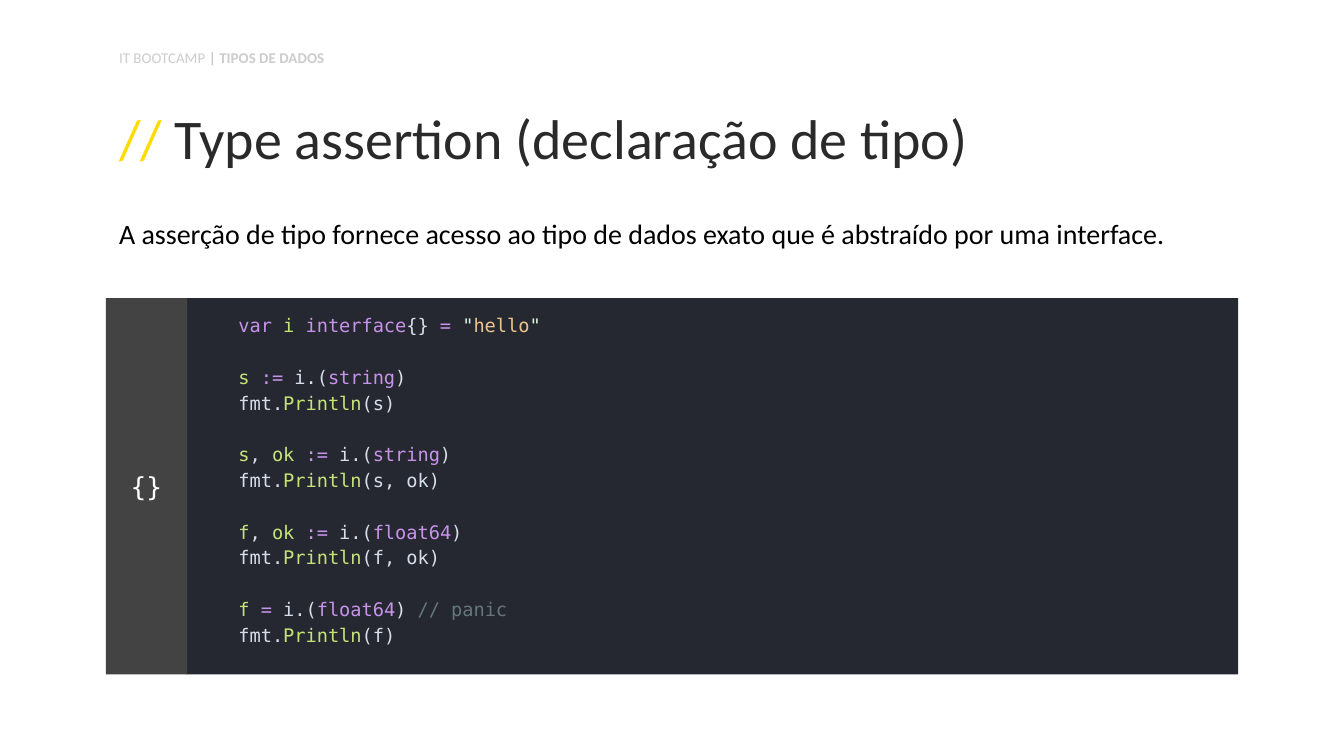
from dataclasses import dataclass
from typing import Any, NamedTuple

from pptx import Presentation
from pptx.dml.color import RGBColor
from pptx.enum.shapes import MSO_SHAPE
from pptx.enum.text import MSO_ANCHOR, PP_ALIGN
from pptx.util import Emu, Pt

RECTANGLE = MSO_SHAPE.RECTANGLE
TOP, MIDDLE, BOTTOM = MSO_ANCHOR.TOP, MSO_ANCHOR.MIDDLE, MSO_ANCHOR.BOTTOM
LEFT, CENTER = PP_ALIGN.LEFT, PP_ALIGN.CENTER

EMU_PER_PX = 5715  # 160 px to the inch


@dataclass(frozen=True)
class Theme:
    sans: str = "Calibri"
    mono: str = "DejaVu Sans Mono"
    header_size: float = 8
    title_size: float = 30
    body_size: float = 15
    code_size: float = 10
    braces_size: float = 14
    code_gap: float = 13.9
    header: str = "CCCCCC"
    accent: str = "FFDB00"
    title: str = "2A2A2A"
    body: str = "000000"
    braces: str = "FFFFFF"
    code_panel: str = "262831"
    braces_panel: str = "434343"
    keyword: str = "C792EA"
    name: str = "C5E478"
    plain: str = "D6DEEB"
    quote: str = "D9F5DD"
    string: str = "ECC48D"
    comment: str = "637777"


THEME = Theme()


class Box(NamedTuple):
    left: int
    top: int
    width: int
    height: int


class Run(NamedTuple):
    text: str
    color: str
    bold: bool = False


@dataclass(frozen=True)
class Line:
    runs: tuple[Run, ...]
    space_before: float = 0
    space_after: float = 0


@dataclass(frozen=True)
class Block:
    box: Box
    lines: tuple[Line, ...]
    font: str
    size: float
    insets: tuple[int, int, int, int] = (16, 16, 16, 16)
    anchor: Any = TOP
    align: Any = LEFT
    spacing: float = 1.15
    fill: str | None = None


def px(length: int) -> Emu:
    return Emu(length * EMU_PER_PX)


def set_all(target: Any, values: dict[str, Any]) -> None:
    for attribute, value in values.items():
        setattr(target, attribute, value)


def keyword(text: str) -> Run:
    return Run(text, THEME.keyword)


def name(text: str) -> Run:
    return Run(text, THEME.name)


def plain(text: str) -> Run:
    return Run(text, THEME.plain)


def assertion(targets: tuple[Run, ...], operator: str, kind: str,
              *ending: Run) -> Line:
    """Code line that opens a new group: targets operator i.(kind)."""
    runs = (plain("   "), *targets, keyword(operator), plain(" i.("),
            keyword(kind), *ending)
    return Line(runs, space_before=THEME.code_gap)


def println(arguments: str) -> Line:
    return Line((plain("   fmt."), name("Println"), plain(f"({arguments})")))


def with_ok(variable: str) -> tuple[Run, ...]:
    return name(variable), plain(", "), name("ok ")


def draw_block(shapes: Any, block: Block) -> None:
    bounds = [px(length) for length in block.box]
    if block.fill is None:
        shape = shapes.add_textbox(*bounds)
    else:
        shape = shapes.add_shape(RECTANGLE, *bounds)
        shape.shadow.inherit = False
        shape.fill.solid()
        shape.fill.fore_color.rgb = RGBColor.from_string(block.fill)
        shape.line.fill.background()
    frame = shape.text_frame
    left, top, right, bottom = (px(inset) for inset in block.insets)
    set_all(frame, {
        "word_wrap": True, "vertical_anchor": block.anchor,
        "margin_left": left, "margin_top": top,
        "margin_right": right, "margin_bottom": bottom,
    })
    for index, line in enumerate(block.lines):
        paragraph = frame.add_paragraph() if index else frame.paragraphs[0]
        set_all(paragraph, {
            "alignment": block.align, "line_spacing": block.spacing,
            "space_before": Pt(line.space_before),
            "space_after": Pt(line.space_after),
        })
        for part in line.runs:
            run = paragraph.add_run()
            run.text = part.text
            set_all(run.font, {"name": block.font, "size": Pt(block.size),
                               "bold": part.bold})
            run.font.color.rgb = RGBColor.from_string(part.color)


CODE = (
    Line((keyword("   var "), name("i "), keyword("interface"), plain("{} "),
          keyword("= "), Run('"', THEME.quote), Run("hello", THEME.string),
          Run('"', THEME.quote))),
    assertion((name("s "),), ":=", "string", plain(")")),
    println("s"),
    assertion(with_ok("s"), ":=", "string", plain(")")),
    println("s, ok"),
    assertion(with_ok("f"), ":=", "float64", plain(")")),
    println("f, ok"),
    assertion((name("f "),), "=", "float64", plain(") "),
              Run("// panic", THEME.comment)),
    println("f"),
)

HEADINGS = (
    Block(Box(126, 236, 1349, 118),
          (Line((Run("A asserção de tipo fornece acesso ao tipo de dados exato "
                     "que é abstraído por uma interface.", THEME.body),),
                space_after=12),),
          THEME.sans, THEME.body_size),
    Block(Box(126, 109, 1349, 110),
          (Line((Run("// ", THEME.accent),
                 Run("Type assertion (declaração de tipo)", THEME.title))),),
          THEME.sans, THEME.title_size, anchor=BOTTOM),
    Block(Box(126, 50, 502, 43),
          (Line((Run("IT BOOTCAMP", THEME.header),
                 Run(" | TIPOS DE DADOS", THEME.header, bold=True)),
                space_after=12),),
          THEME.sans, THEME.header_size, insets=(16, 8, 16, 8), spacing=1.0),
)

CODE_CARD = (
    Block(Box(222, 355, 1252, 448), CODE, THEME.mono, THEME.code_size,
          insets=(22, 3, 3, 22), anchor=MIDDLE, fill=THEME.code_panel),
    Block(Box(126, 355, 97, 448), (Line((Run("{}", THEME.braces),)),),
          THEME.mono, THEME.braces_size, anchor=MIDDLE, align=CENTER,
          spacing=1.0, fill=THEME.braces_panel),
)


def main() -> None:
    deck = Presentation()
    set_all(deck, {"slide_width": px(1600), "slide_height": px(900)})
    slide = deck.slides.add_slide(deck.slide_layouts[6])
    for heading in HEADINGS:
        draw_block(slide.shapes, heading)
    card = slide.shapes.add_group_shape()
    for panel in CODE_CARD:
        draw_block(card.shapes, panel)
    deck.save("out.pptx")


if __name__ == "__main__":
    main()
